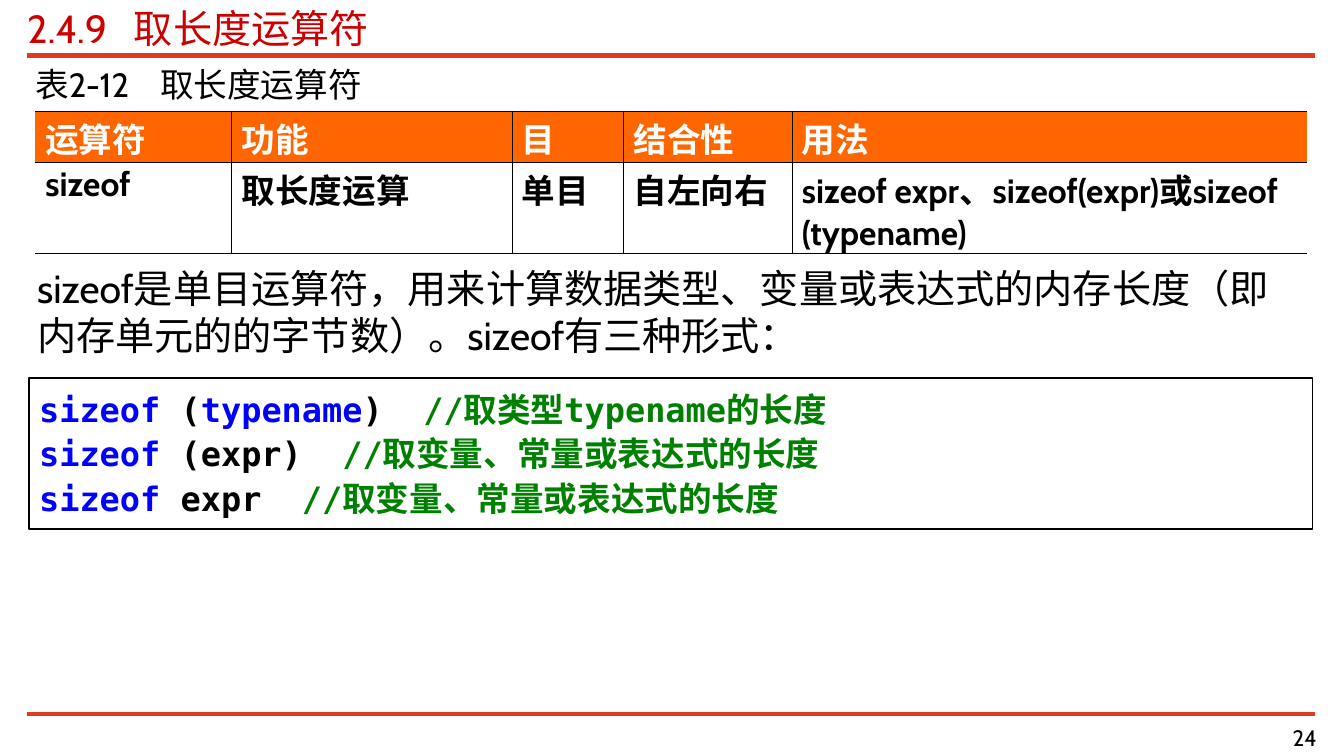
from lxml.etree import SubElement
from pptx import Presentation
from pptx.dml.color import RGBColor
from pptx.enum.shapes import MSO_CONNECTOR, MSO_SHAPE
from pptx.enum.text import MSO_ANCHOR, PP_ALIGN
from pptx.oxml.ns import qn
from pptx.util import Inches, Pt

COLORS = {
    "rule": "E13A23", "title": "CC0000", "header": "FF6600",
    "white": "FFFFFF", "black": "000000",
    "keyword": "0000FF", "comment": "008000",
}
FONT, CODE_FONT = "Cabin", "DejaVu Sans Mono"

COLUMNS = [1.95, 2.78, 1.11, 1.67, 5.11]
ROWS = [0.5, 0.9]
CELLS = [
    ["运算符", "功能", "目", "结合性", "用法"],
    ["sizeof", "取长度运算", "单目", "自左向右",
     "sizeof expr、sizeof(expr)或sizeof (typename)"],
]
LENGTH_NOTE = "//取变量、常量或表达式的长度"
CODE = [
    [("sizeof ", "keyword"), ("(", "black"), ("typename", "keyword"),
     (")  ", "black"), ("//取类型typename的长度", "comment")],
    [("sizeof ", "keyword"), ("(expr)  ", "black"), (LENGTH_NOTE, "comment")],
    [("sizeof ", "keyword"), ("expr  ", "black"), (LENGTH_NOTE, "comment")],
]


def rgb(name):
    return RGBColor.from_string(COLORS[name])


def style(r, size, color, bold=False, font=FONT):
    r.font.name, r.font.size, r.font.bold = font, Pt(size), bold
    r.font.color.rgb = rgb(color)


def set_margins(target, side, top, bottom):
    target.margin_left = target.margin_right = Inches(side)
    target.margin_top, target.margin_bottom = Inches(top), Inches(bottom)


def add_rule(s, x, y, w, width):
    line = s.shapes.add_connector(MSO_CONNECTOR.STRAIGHT, Inches(x), Inches(y),
                                  Inches(x + w), Inches(y))
    line.line.color.rgb, line.line.width = rgb("rule"), Pt(width)
    SubElement(line._element.spPr, qn("a:effectLst"))


def add_text(s, box, text, size, color="black", inset=(0, 0, 0),
             tab=None, align=PP_ALIGN.LEFT, anchor=MSO_ANCHOR.TOP):
    tf = s.shapes.add_textbox(*map(Inches, box)).text_frame
    tf.word_wrap, tf.vertical_anchor = True, anchor
    set_margins(tf, *inset)
    p = tf.paragraphs[0]
    p.text, p.alignment = text, align
    if tab:
        tabs = SubElement(p._p.get_or_add_pPr(), qn("a:tabLst"))
        SubElement(tabs, qn("a:tab"), pos=str(Inches(tab)), algn="l")
    style(p.runs[0], size, color)


def add_border(cell, side, width):
    """Black cell border; a width of zero hides it."""
    ln = SubElement(cell._tc.get_or_add_tcPr(), qn("a:ln" + side), w=str(Pt(width)))
    if width:
        fill = SubElement(ln, qn("a:solidFill"))
        SubElement(fill, qn("a:srgbClr"), val=COLORS["black"])
    else:
        SubElement(ln, qn("a:noFill"))


def add_operator_table(s, x, y):
    table = s.shapes.add_table(len(ROWS), len(COLUMNS), Inches(x), Inches(y),
                               Inches(sum(COLUMNS)), Inches(sum(ROWS))).table
    table.horz_banding = False
    for col, width in zip(table.columns, COLUMNS):
        col.width = Inches(width)
    for row, height in zip(table.rows, ROWS):
        row.height = Inches(height)
    last = len(COLUMNS) - 1
    for i, texts in enumerate(CELLS):
        for j, text in enumerate(texts):
            cell = table.cell(i, j)
            # Small insets keep the text inside its row
            set_margins(cell, 0.1, 0.02, 0)
            # Open left and right edges, thin lines elsewhere
            add_border(cell, "L", 0.45 if j > 0 else 0)
            add_border(cell, "R", 0.45 if j < last else 0)
            add_border(cell, "T", 0.62)
            add_border(cell, "B", 0.62)
            if i == 0:
                cell.fill.solid()
                cell.fill.fore_color.rgb = rgb("header")
            else:
                cell.fill.background()
            p = cell.text_frame.paragraphs[0]
            p.text = text
            style(p.runs[0], 24, "black" if i else "white", bold=True)


def add_code_box(s, x, y, w, h):
    sp = s.shapes.add_shape(MSO_SHAPE.RECTANGLE, *map(Inches, (x, y, w, h)))
    sp.shadow.inherit = False
    sp.fill.background()
    sp.line.color.rgb, sp.line.width = rgb("black"), Pt(1)
    tf = sp.text_frame
    tf.word_wrap, tf.vertical_anchor = True, MSO_ANCHOR.TOP
    set_margins(tf, 0.1, 0.07, 0.07)
    for i, parts in enumerate(CODE):
        p = tf.add_paragraph() if i else tf.paragraphs[0]
        p.alignment, p.line_spacing = PP_ALIGN.JUSTIFY, 1.1
        for text, color in parts:
            r = p.add_run()
            r.text = text
            style(r, 24, color, bold=True, font=CODE_FONT)


def add_frame(s, x, y, w, h):
    """Heading, rules and page number around the content."""
    add_rule(s, x, y + 0.51, w, 4)
    add_rule(s, x, y + h - 0.38, w, 3)
    add_text(s, (x, y, w, 0.47), "2.4.9\t取长度运算符", 28, "title", tab=1.06)
    add_text(s, (x + w - 2.66, y + h - 0.3, 2.68, 0.31), "24", 16,
             align=PP_ALIGN.RIGHT, anchor=MSO_ANCHOR.MIDDLE)


def add_content(s, x, y, w):
    """Table with caption, explanation and code, stacked downwards."""
    add_text(s, (x + 0.08, y, w - 0.14, 0.4), "表2-12\t取长度运算符", 24, tab=1.24)
    add_operator_table(s, x + 0.08, y + 0.48)
    add_text(s, (x, y + 1.94, w, 1.18),
             "sizeof是单目运算符，用来计算数据类型、变量或表达式的内存长度"
             "（即内存单元的的字节数）。sizeof有三种形式：",
             28, inset=(0.1, 0.05, 0.05))
    add_code_box(s, x + 0.02, y + 3.12, w - 0.04, 1.5)


def main():
    prs = Presentation()
    prs.slide_width, prs.slide_height = Inches(13.34), Inches(7.5)
    s = prs.slides.add_slide(prs.slide_layouts[6])
    add_frame(s, 0.27, 0.04, 12.78, 7.42)
    add_content(s, 0.27, 0.63, 12.78)
    prs.save("out.pptx")


if __name__ == "__main__":
    main()
